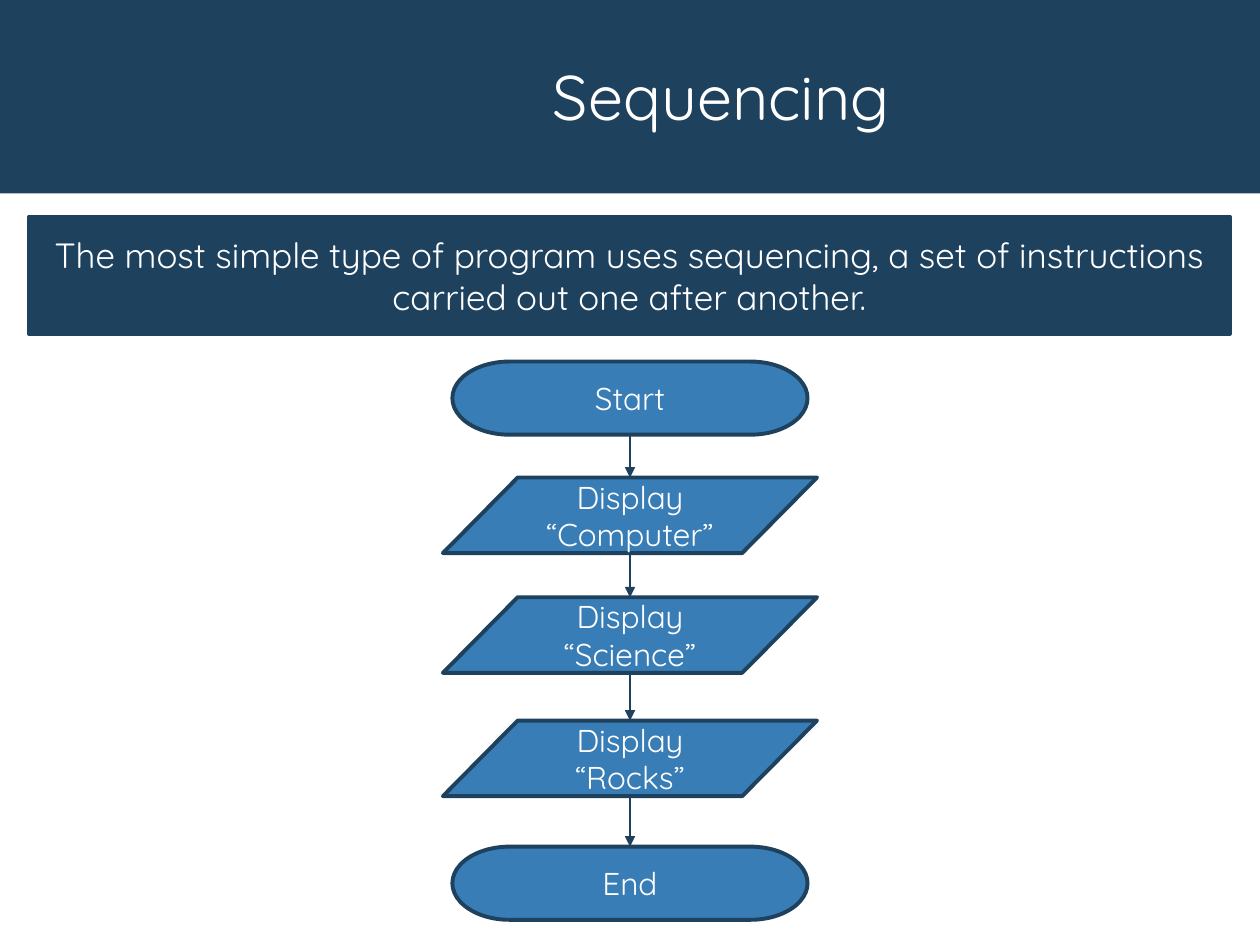
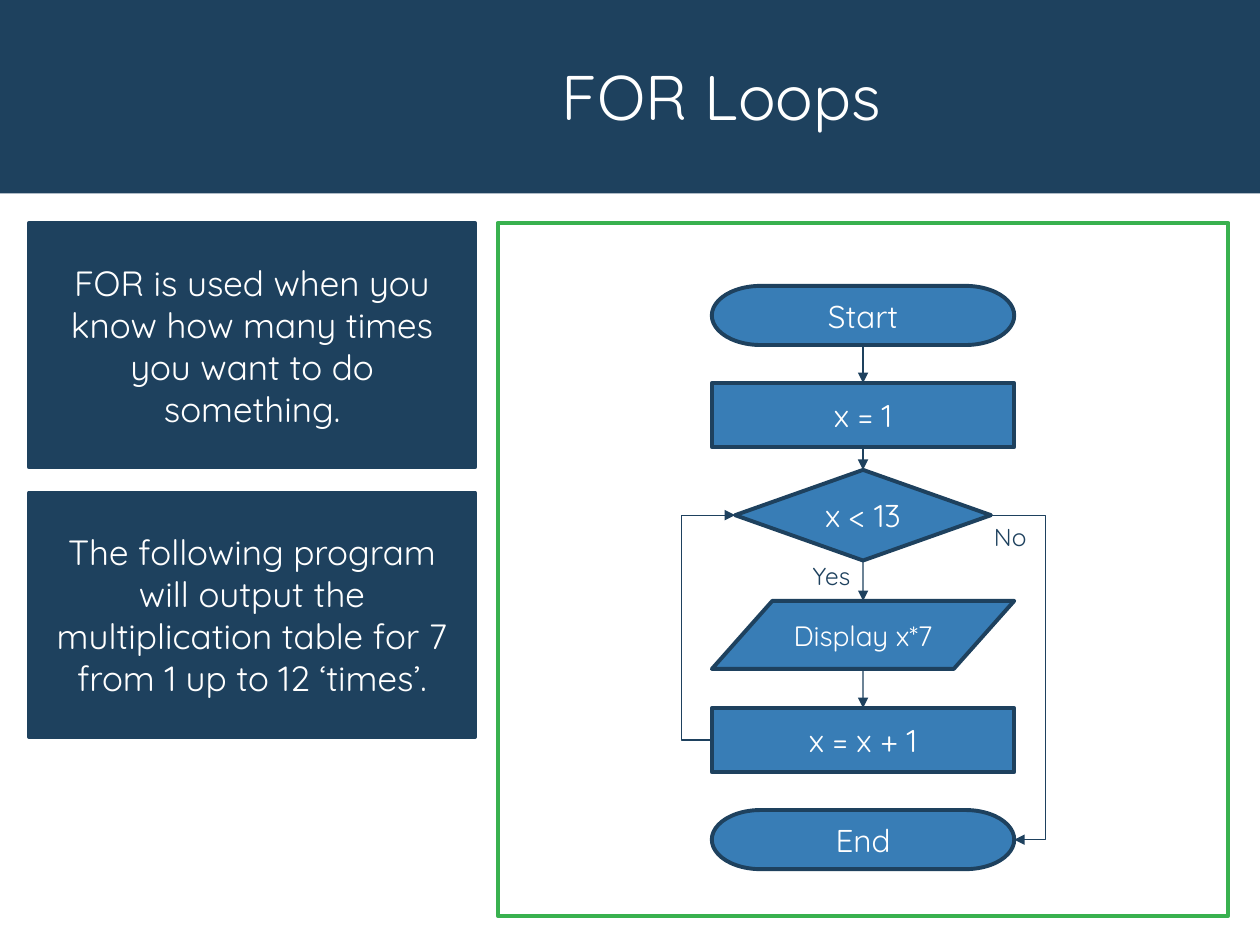
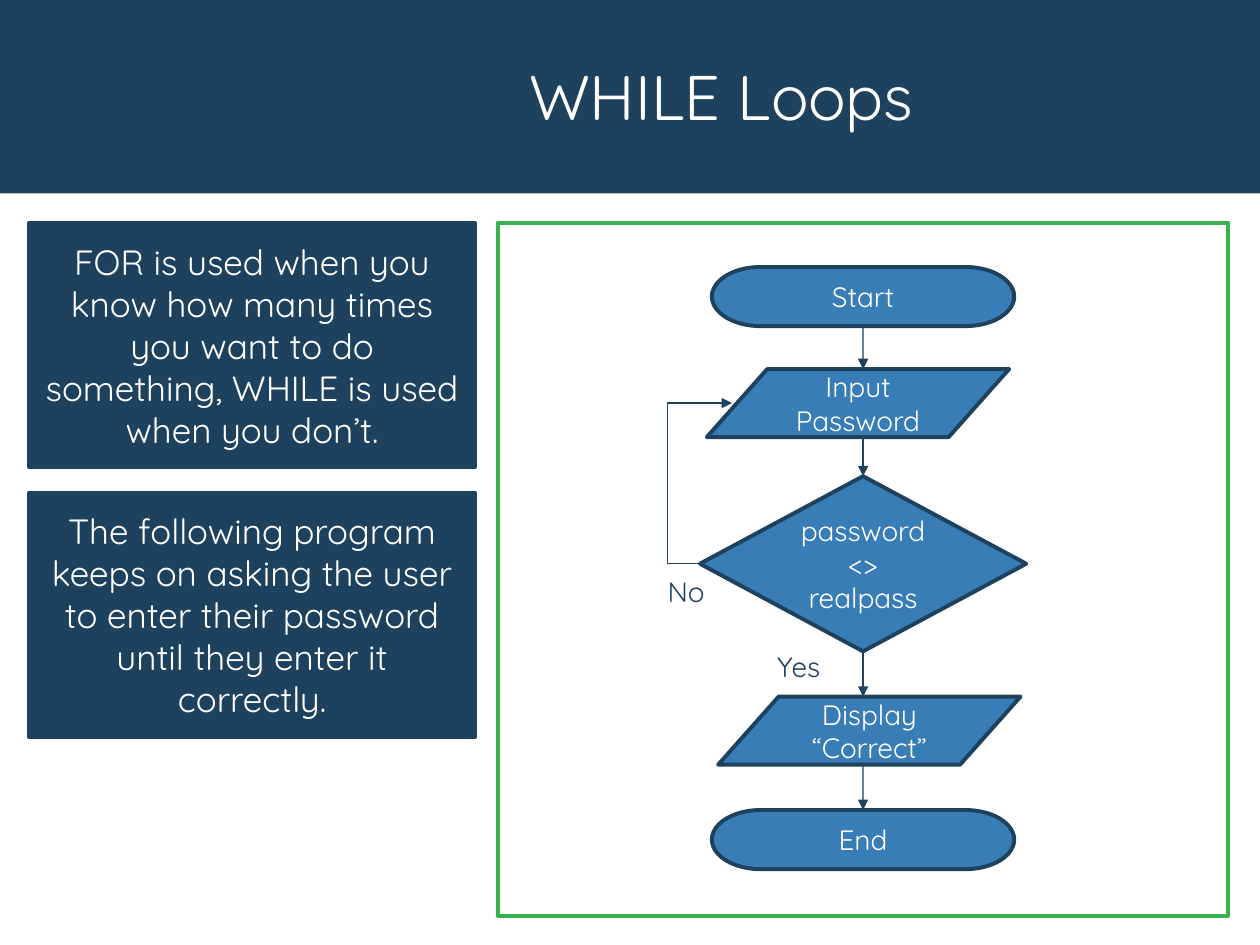
from lxml import etree
from pptx import Presentation
from pptx.dml.color import RGBColor
from pptx.enum.shapes import MSO_CONNECTOR, MSO_SHAPE
from pptx.enum.text import MSO_ANCHOR, PP_ALIGN
from pptx.oxml.ns import qn
from pptx.util import Pt

RECTANGLE = MSO_SHAPE.RECTANGLE
TERMINATOR = MSO_SHAPE.FLOWCHART_TERMINATOR
DATA = MSO_SHAPE.FLOWCHART_DATA
DECISION = MSO_SHAPE.FLOWCHART_DECISION
STRAIGHT, ELBOW = MSO_CONNECTOR.STRAIGHT, MSO_CONNECTOR.ELBOW
CENTER, LEFT = PP_ALIGN.CENTER, PP_ALIGN.LEFT
MIDDLE, TOP = MSO_ANCHOR.MIDDLE, MSO_ANCHOR.TOP

FONT = "Quicksand"
NAVY, BLUE, GREEN, WHITE = "1E415E", "387DB6", "39B14F", "FFFFFF"
OUTLINE = 2.25
SLIDE_WIDTH, SLIDE_HEIGHT = 720, 540
BAND_HEIGHT = 110.6
PANEL = (284.4, 127.4, 417.6, 396)
NOTES = (16.6, 127.4, 254.9, 293.8)
NOTE_HEIGHT = 139.7


def color(hex_code):
    return RGBColor.from_string(hex_code)


def write(shape, words, size=18, ink=WHITE, align=CENTER, anchor=MIDDLE, spacing=None):
    frame = shape.text_frame
    frame.word_wrap = True
    frame.vertical_anchor = anchor
    for index, line in enumerate(words.split("\n")):
        paragraph = frame.add_paragraph() if index else frame.paragraphs[0]
        paragraph.alignment = align
        if spacing:
            paragraph.line_spacing = spacing
        run = paragraph.add_run()
        run.text = line
        run.font.name = FONT
        run.font.size = Pt(size)
        run.font.color.rgb = color(ink)


def draw(slide, kind, box, fill=None, line=None):
    shape = slide.shapes.add_shape(kind, *map(Pt, box))
    shape.shadow.inherit = False
    if fill:
        shape.fill.solid()
        shape.fill.fore_color.rgb = color(fill)
    else:
        shape.fill.background()
    if line:
        shape.line.color.rgb = color(line)
        shape.line.width = Pt(OUTLINE)
    else:
        shape.line.fill.background()
    return shape


def label(slide, box, words, **style):
    write(slide.shapes.add_textbox(*map(Pt, box)), words, **style)


def arrow(slide, kind, start, end, weight):
    connector = slide.shapes.add_connector(kind, *map(Pt, (*start, *end)))
    connector.line.color.rgb = color(NAVY)
    connector.line.width = Pt(weight)
    etree.SubElement(connector.line._get_or_add_ln(), qn("a:tailEnd"), type="triangle")
    etree.SubElement(connector._element.spPr, qn("a:effectLst"))
    return connector


def link(slide, axis, upper, lower, weight):
    start = (axis, upper.top.pt + upper.height.pt)
    connector = arrow(slide, STRAIGHT, start, (axis, lower.top.pt), weight)
    if upper.auto_shape_type != DATA:
        connector.begin_connect(upper, 2)
    if lower.auto_shape_type != DATA:
        connector.end_connect(lower, 0)


def detour(slide, start, end, turn_x, weight=0.75):
    connector = arrow(slide, ELBOW, start, end, weight)
    bend = round((turn_x - start[0]) / (end[0] - start[0]) * 100000)
    guides = connector._element.spPr.find(qn("a:prstGeom")).get_or_add_avLst()
    etree.SubElement(guides, qn("a:gd"), name="adj1", fmla=f"val {bend}")


def side(shape, right=False):
    x = shape.left.pt + (shape.width.pt if right else 0)
    return x, shape.top.pt + shape.height.pt / 2


def flowchart(slide, box, steps, links, weight=0.75):
    left, top, width, _ = box
    axis = left + width / 2
    shapes = []
    for kind, offset, step_width, step_height, words, size, shift in steps:
        place = (axis - step_width / 2 + shift, top + offset, step_width, step_height)
        shape = draw(slide, kind, place, BLUE, NAVY)
        write(shape, words, size=size)
        shapes.append(shape)
    for upper in links:
        link(slide, axis, shapes[upper], shapes[upper + 1], weight)
    return axis, shapes


def header(slide, box, title):
    left, top, width, height = box
    draw(slide, RECTANGLE, box, NAVY)
    title_box = (left + 104.4, top + 17.3, width - 104.4, height - 30.7)
    label(slide, title_box, title, size=36, spacing=0.9)


def note(slide, box, words):
    write(draw(slide, RECTANGLE, box, NAVY, NAVY), words, size=20)


def notes_column(slide, box, notes):
    left, top, width, height = box
    pitch = (height - NOTE_HEIGHT) / (len(notes) - 1)
    for index, words in enumerate(notes):
        note(slide, (left, top + index * pitch, width, NOTE_HEIGHT), words)


def new_slide(deck, title):
    slide = deck.slides.add_slide(deck.slide_layouts[6])
    header(slide, (0, 0, SLIDE_WIDTH, BAND_HEIGHT), title)
    return slide


def loop_slide(deck, title, notes, steps, links):
    slide = new_slide(deck, title)
    notes_column(slide, NOTES, notes)
    draw(slide, RECTANGLE, PANEL, line=GREEN)
    axis, shapes = flowchart(slide, PANEL, steps, links)
    return slide, axis, shapes


def sequencing(deck):
    slide = new_slide(deck, "Sequencing")
    note(slide, (16.6, 123.8, 686.2, 67),
         "The most simple type of program uses sequencing, a set of instructions "
         "carried out one after another.")
    outputs = zip((66.3, 134.7, 205.2), ("Computer", "Science", "Rocks"))
    steps = [
        (TERMINATOR, 0, 203, 41.8, "Start", 18, 0),
        *((DATA, offset, 213.8, 43.2, f"Display “{word}”", 18, 0) for offset, word in outputs),
        (TERMINATOR, 277.2, 203, 41.8, "End", 18, 0),
    ]
    flowchart(slide, (253, 206.6, 214, 319), steps, range(4), weight=1.5)


def for_loops(deck):
    notes = (
        "FOR is used when you know how many times you want to do something.",
        "The following program will output the multiplication table for 7 "
        "from 1 up to 12 ‘times’.",
    )
    steps = (
        (TERMINATOR, 36, 172.8, 33.8, "Start", 18, 0),
        (RECTANGLE, 91.5, 172.8, 36.7, "x = 1", 18, 0),
        (DECISION, 141.1, 146.2, 51.8, "x < 13", 18, 0),
        (DATA, 216, 172.8, 38.9, "Display x*7", 16, 0),
        (RECTANGLE, 277.2, 172.8, 36.7, "x = x + 1", 18, 0),
        (TERMINATOR, 335.5, 172.8, 33.8, "End", 18, 0),
    )
    slide, axis, shapes = loop_slide(deck, "FOR Loops", notes, steps, range(4))
    _, _, test, _, increment, end = shapes
    detour(slide, side(test, right=True), side(end, right=True), axis + 104.4)
    detour(slide, side(increment), side(test), axis - 103.7)
    branch = dict(size=14, ink=NAVY, align=LEFT, anchor=TOP)
    label(slide, (axis + 67.7, PANEL[1] + 167.1, 37.4, 24.5), "No", **branch)
    label(slide, (axis - 36, PANEL[1] + 189.4, 37.4, 24.5), "Yes", **branch)


def while_loops(deck):
    notes = (
        "FOR is used when you know how many times you want to do something, "
        "WHILE is used when you don’t.",
        "The following program keeps on asking the user to enter their password "
        "until they enter it correctly.",
    )
    steps = (
        (TERMINATOR, 25.2, 172.8, 33.8, "Start", 16, 0),
        (DATA, 83.5, 172.8, 38.9, "Input Password", 16, -2.9),
        (DECISION, 144.7, 186.5, 100.1, "password\n<>\nrealpass", 16, 0),
        (DATA, 270.7, 172.8, 38.9, "Display “Correct”", 16, 3.6),
        (TERMINATOR, 335.5, 172.8, 33.8, "End", 16, 0),
    )
    slide, axis, shapes = loop_slide(deck, "WHILE Loops", notes, steps, range(4))
    _, prompt, test, _, _ = shapes
    prompt_x, prompt_y = side(prompt)
    detour(slide, side(test), (prompt_x + 14.4, prompt_y), axis - 111.6)
    branch = dict(size=16, ink=NAVY, align=LEFT, anchor=TOP)
    label(slide, (axis - 118.8, PANEL[1] + 197.3, 37.4, 26.6), "No", **branch)
    label(slide, (axis - 56.2, PANEL[1] + 240.5, 53.3, 26.6), "Yes", **branch)


def main():
    deck = Presentation()
    deck.slide_width, deck.slide_height = Pt(SLIDE_WIDTH), Pt(SLIDE_HEIGHT)
    for build in (sequencing, for_loops, while_loops):
        build(deck)
    deck.save("out.pptx")


if __name__ == "__main__":
    main()
